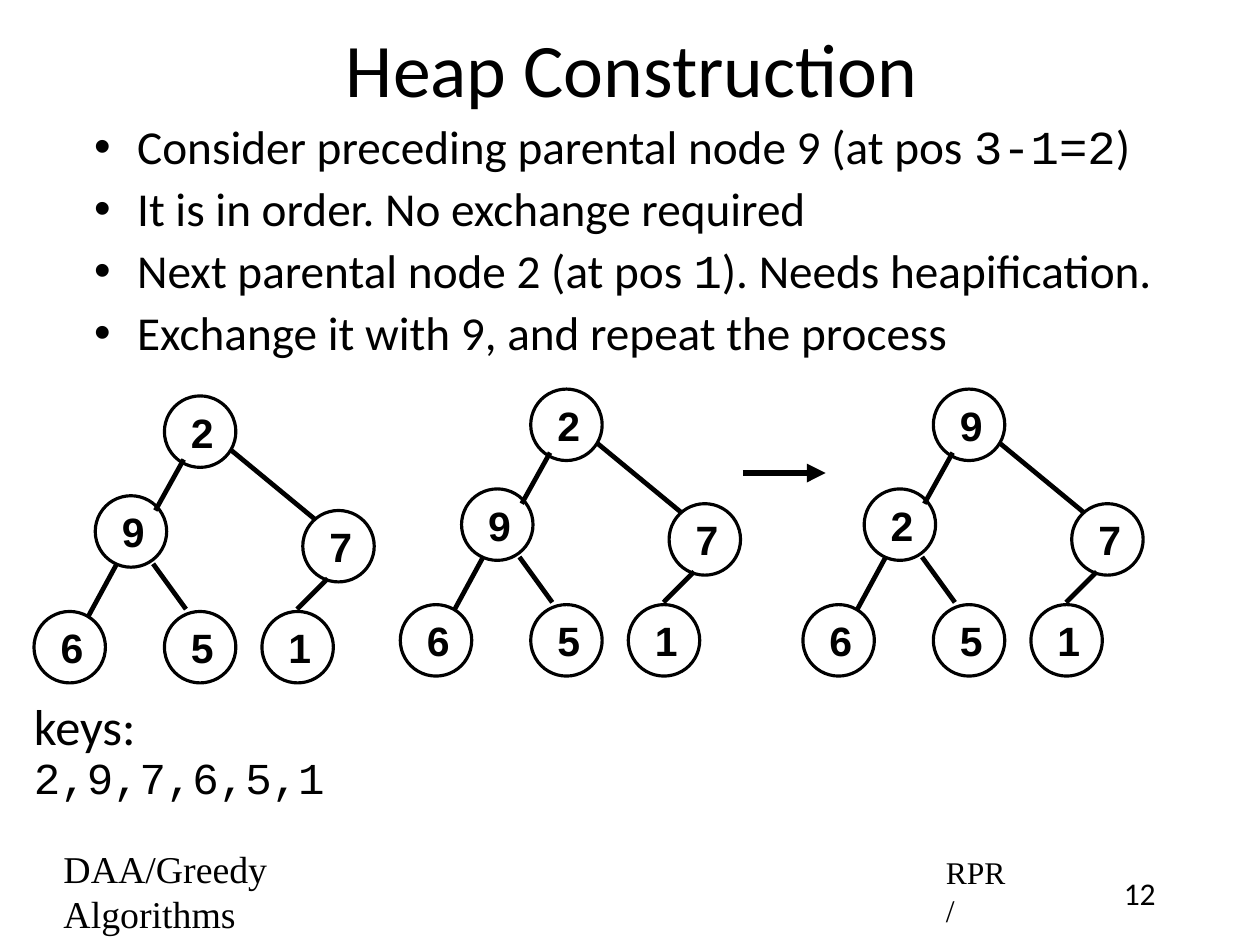
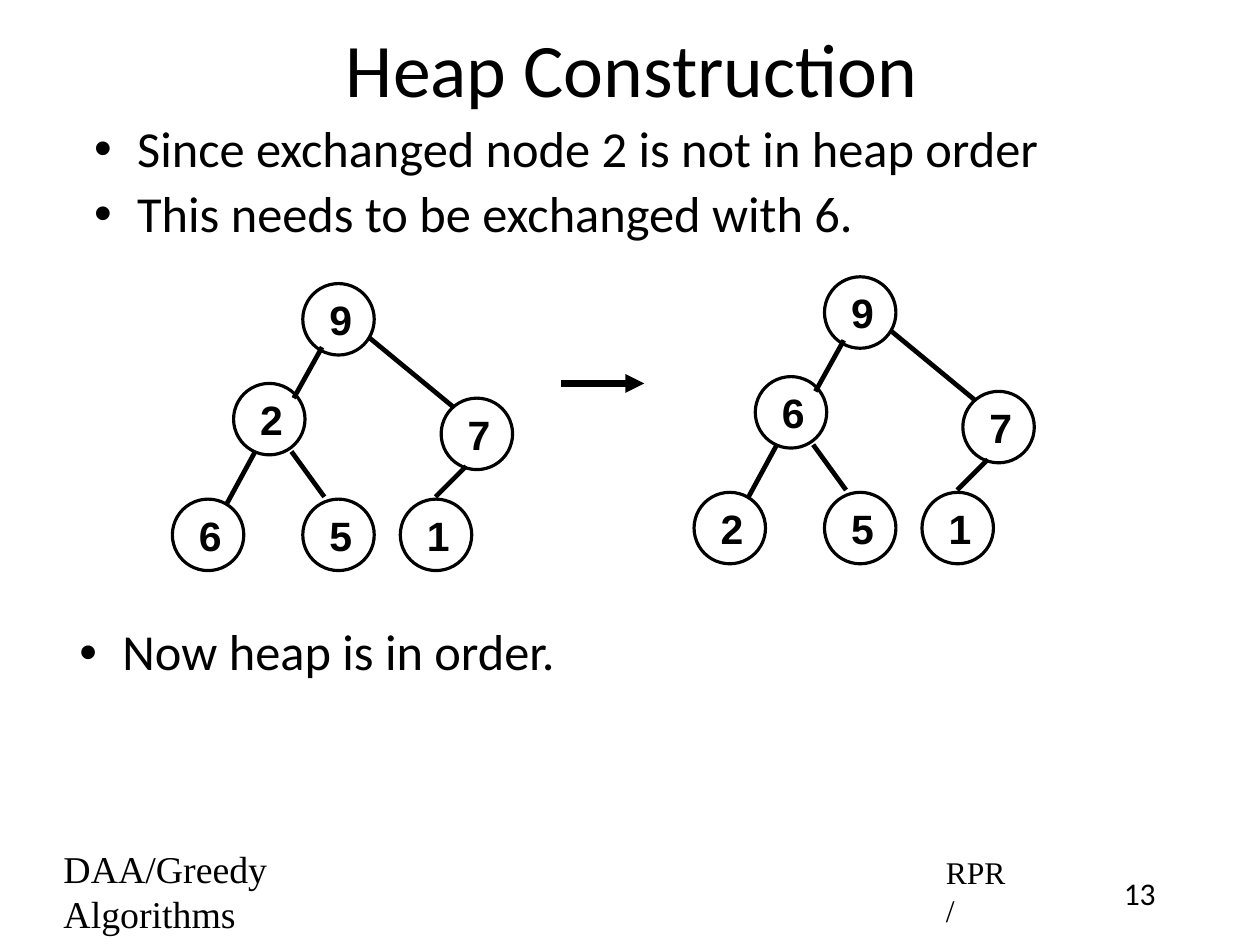
from lxml import etree
from pptx import Presentation
from pptx.dml.color import RGBColor
from pptx.enum.shapes import MSO_CONNECTOR, MSO_SHAPE
from pptx.enum.text import MSO_ANCHOR, PP_ALIGN
from pptx.oxml.ns import qn
from pptx.util import Inches, Pt

LEFT, CENTER = PP_ALIGN.LEFT, PP_ALIGN.CENTER
TOP, MIDDLE = MSO_ANCHOR.TOP, MSO_ANCHOR.MIDDLE
STRAIGHT, ELLIPSE = MSO_CONNECTOR.STRAIGHT, MSO_SHAPE.OVAL
BLACK = RGBColor(0x00, 0x00, 0x00)
BODY, CODE, SERIF, LABEL = "Calibri", "Courier New", "Times New Roman", "Arial"
INSET, INDENT = 0.06, 0.04
BULLET_INDENT, BULLET_HANG = 0.42, -0.38

TITLE = "Heap Construction"
SLIDES = [
    {
        "number": "12",
        "bullets": [
            ((0.73, 1.03, 10.03, 2.26), 30, [
                ["Consider preceding parental node 9 (at pos ", ("3-1=2", CODE, 30), ")"],
                ["It is in order. No exchange required"],
                ["Next parental node 2 (at pos ", ("1", CODE, 30), "). Needs heapification."],
                ["Exchange it with 9, and repeat the process"],
            ]),
        ],
        "trees": [
            (0.3, 3.49, "297651"),
            (3.53, 3.43, "297651"),
            (7.08, 3.43, "927651"),
        ],
        "arrow": (6.55, 4.17),
        "keys": ["keys: ", ("2,9,7,6,5,1", CODE, 28)],
    },
    {
        "number": "13",
        "bullets": [
            ((0.73, 1.03, 9.9, 1.41), 32, [
                ["Since exchanged node 2 is not in heap order"],
                ["This needs to be exchanged with 6."],
            ]),
            ((0.6, 5.47, 9.9, 0.71), 32, [["Now heap is in order."]]),
        ],
        "trees": [(1.52, 2.5, "927651"), (6.12, 2.44, "967251")],
        "arrow": (4.95, 3.38),
    },
]

NODE_SIZE = 0.63
NODE_OFFSETS = [(1.15, 0), (0.54, 0.88), (2.37, 1.01), (0, 1.9), (1.15, 1.9), (2.01, 1.9)]
EDGE_OFFSETS = [
    (1.07, 1.01, 1.32, 0.56),
    (2.48, 1.09, 1.74, 0.48),
    (0.48, 1.94, 0.73, 1.48),
    (1.34, 1.88, 1.05, 1.48),
    (2.32, 1.88, 2.59, 1.61),
]
ARROW_LENGTH = 0.73


def write(sp, paragraphs, size, font=BODY, bold=False, align=LEFT, anchor=MIDDLE,
          indent=INDENT, bullet=False, line=None, before=None):
    tf = sp.text_frame
    tf.word_wrap = True
    tf.vertical_anchor = anchor
    tf.margin_left = tf.margin_right = tf.margin_top = tf.margin_bottom = Inches(INSET)
    for i, runs in enumerate(paragraphs):
        p = tf.paragraphs[0] if i == 0 else tf.add_paragraph()
        p.alignment = align
        if line:
            p.line_spacing = line
        if before:
            p.space_before = Pt(before)
        pPr = p._p.get_or_add_pPr()
        pPr.set("marL", str(Inches(BULLET_INDENT if bullet else indent)))
        pPr.set("indent", str(Inches(BULLET_HANG if bullet else 0)))
        if bullet:
            etree.SubElement(pPr, qn("a:buFont"), typeface=LABEL)
            etree.SubElement(pPr, qn("a:buChar"), char="•")
        for run in runs:
            text, face, points = (run, font, size) if isinstance(run, str) else run
            r = p.add_run()
            r.text = text
            r.font.name = face
            r.font.size = Pt(points)
            r.font.bold = bold
            r.font.color.rgb = BLACK


def add_text(slide, box, paragraphs, size, **fmt):
    sp = slide.shapes.add_textbox(*map(Inches, box))
    write(sp, paragraphs, size, **fmt)


def add_line(slide, x1, y1, x2, y2, width, arrow=False):
    cn = slide.shapes.add_connector(STRAIGHT, *map(Inches, (x1, y1, x2, y2)))
    cn.line.color.rgb = BLACK
    cn.line.width = Pt(width)
    if arrow:
        etree.SubElement(cn.line._get_or_add_ln(), qn("a:tailEnd"), type="triangle")
    etree.SubElement(cn._element.spPr, qn("a:effectLst"))


def add_tree(slide, left, top, keys):
    for key, (dx, dy) in zip(keys, NODE_OFFSETS):
        box = (left + dx, top + dy, NODE_SIZE, NODE_SIZE)
        sp = slide.shapes.add_shape(ELLIPSE, *map(Inches, box))
        sp.shadow.inherit = False
        sp.fill.background()
        sp.line.color.rgb = BLACK
        sp.line.width = Pt(2)
        write(sp, [[key]], 26, font=LABEL, bold=True, align=CENTER)
    for x1, y1, x2, y2 in EDGE_OFFSETS:
        add_line(slide, left + x1, top + y1, left + x2, top + y2, 3)


def add_frame(slide, number):
    add_text(slide, (0.83, 0.07, 9.44, 1.04), [[TITLE]], 48, align=CENTER)
    add_text(slide, (9.72, 7.64, 0.66, 0.42), [[number]], 20, align=CENTER, anchor=TOP, indent=0)
    add_text(slide, (0.46, 7.62, 3.45, 0.47), [["DAA/Greedy Algorithms"]], 24, font=SERIF)
    add_text(slide, (8.24, 7.64, 0.72, 0.42), [["RPR/"]], 20, font=SERIF)


def main():
    prs = Presentation()
    prs.slide_width, prs.slide_height = Inches(11.11), Inches(8.33)
    for content in SLIDES:
        slide = prs.slides.add_slide(prs.slide_layouts[6])
        add_frame(slide, content["number"])
        for box, size, items in content["bullets"]:
            add_text(slide, box, items, size, anchor=TOP, bullet=True, line=0.9, before=7)
        for tree in content["trees"]:
            add_tree(slide, *tree)
        x, y = content["arrow"]
        add_line(slide, x, y, x + ARROW_LENGTH, y, 4, arrow=True)
        if "keys" in content:
            add_text(slide, (0.24, 6.32, 3.5, 0.63), [content["keys"]], 32,
                     indent=0, line=0.9, before=7)
    prs.save("out.pptx")


if __name__ == "__main__":
    main()
